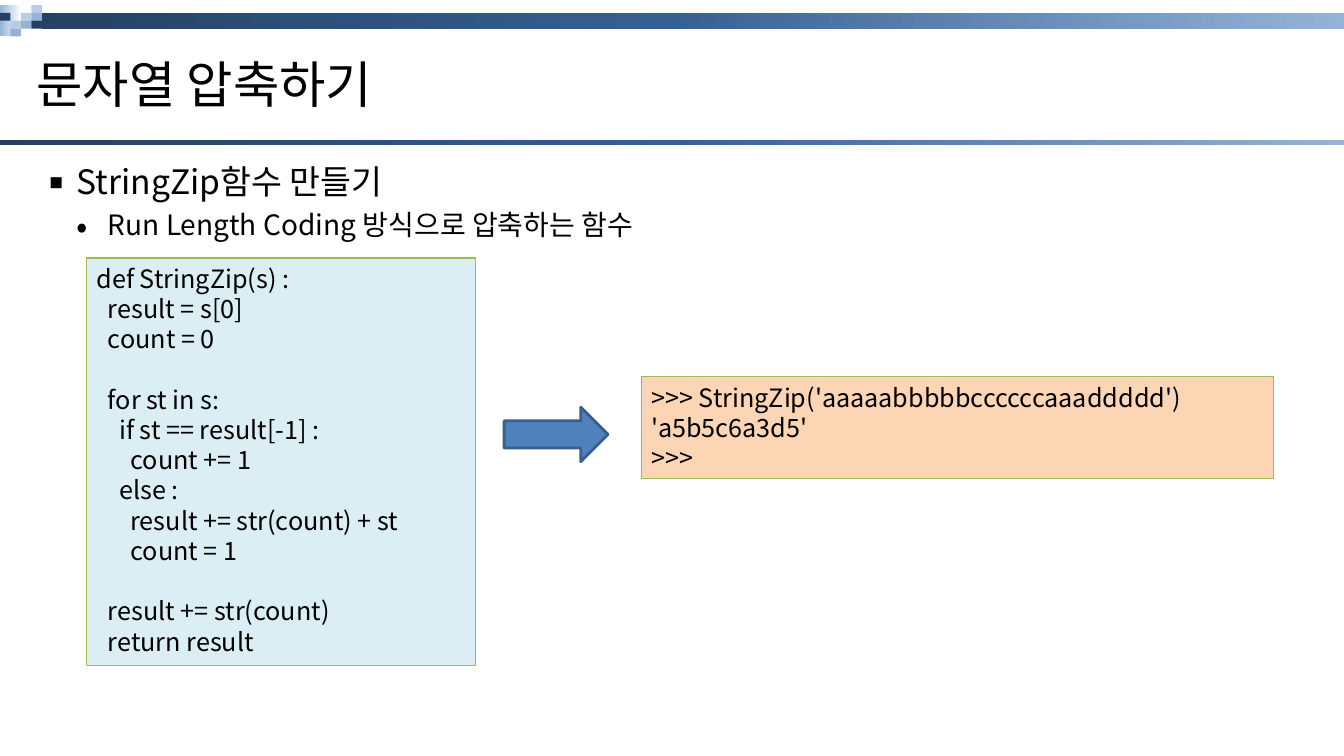
import copy
from dataclasses import dataclass

import lxml.etree
import pptx
import pptx.dml.color
import pptx.enum.shapes
import pptx.enum.text
import pptx.oxml.ns
import pptx.util

SHAPE = pptx.enum.shapes.MSO_SHAPE
ANCHOR = pptx.enum.text.MSO_ANCHOR
ALIGN = pptx.enum.text.PP_ALIGN
qn = pptx.oxml.ns.qn


@dataclass(frozen=True)
class Theme:
    """Colours, font and type sizes of the slide."""
    font: str = "Noto Sans CJK KR"
    ink: str = "000000"
    navy: str = "254061"
    blue: str = "376092"
    sky: str = "95B3D7"
    pale: str = "B9CDE5"
    white: str = "FFFFFF"
    code: str = "DBEEF4"
    shell: str = "FCD5B5"
    green: str = "9BBB59"
    arrow: str = "4F81BD"
    edge: str = "3A5F8C"
    title: int = 36
    head: int = 24
    sub: int = 20
    mono: int = 18


LOOK = Theme()
WIDE, HIGH = pptx.util.Inches(13.33), pptx.util.Inches(7.5)
TILES = {(0, 1): LOOK.navy, (1, 2): LOOK.pale, (1, 3): LOOK.sky,
         (2, 1): LOOK.pale, (2, 2): LOOK.sky, (3, 0): LOOK.pale,
         (3, 1): LOOK.sky, (3, 2): LOOK.navy}
CODE = """def StringZip(s) :
  result = s[0]
  count = 0

  for st in s:
    if st == result[-1] :
      count += 1
    else :
      result += str(count) + st
      count = 1

  result += str(count)
  return result"""
SHELL = """>>> StringZip('aaaaabbbbbccccccaaaddddd')
'a5b5c6a3d5'
>>>"""


def rgb(code):
    """Turn a hex code into a colour."""
    return pptx.dml.color.RGBColor.from_string(code)


def place(box):
    """Turn a box in percent of the slide into lengths."""
    return [round(part * side / 100) for part, side in zip(box, (WIDE, HIGH) * 2)]


def draw(slide, box, fill, line=None, width=0.75, kind=SHAPE.RECTANGLE):
    """Add a flat shape, with a gradient when fill is a list of colours."""
    shape = slide.shapes.add_shape(kind, *place(box))
    shape.shadow.inherit = False
    if isinstance(fill, str):
        shape.fill.solid()
        shape.fill.fore_color.rgb = rgb(fill)
    else:
        shape.fill.gradient()
        shape.fill.gradient_angle = 0
        stops = next(shape._element.iter(qn("a:gsLst")))
        stops.append(copy.deepcopy(stops[-1]))
        for num, (stop, tone) in enumerate(zip(shape.fill.gradient_stops, fill)):
            stop.position = num / 2
            stop.color.rgb = rgb(tone)
    if line:
        shape.line.color.rgb = rgb(line)
        shape.line.width = pptx.util.Pt(width)
    else:
        shape.line.fill.background()
    return shape


def style(par, size):
    """Set the font of a paragraph for Latin and Korean text."""
    par.alignment = ALIGN.LEFT
    par.font.size = pptx.util.Pt(size)
    par.font.color.rgb = rgb(LOOK.ink)
    par.font.name = LOOK.font
    base = par._p.pPr.find(qn("a:defRPr"))
    lxml.etree.SubElement(base, qn("a:ea"), typeface=LOOK.font)


def bullet(par, mark, left, hang):
    """Give a paragraph a hanging bullet."""
    props = par._p.get_or_add_pPr()
    props.set("marL", str(pptx.util.Inches(left)))
    props.set("indent", str(-pptx.util.Inches(hang)))
    if par.level:
        gap = lxml.etree.SubElement(props, qn("a:spcBef"))
        lxml.etree.SubElement(gap, qn("a:spcPct"), val="20000")
    lxml.etree.SubElement(props, qn("a:buSzPct"), val="120000")
    lxml.etree.SubElement(props, qn("a:buFont"), typeface=LOOK.font)
    lxml.etree.SubElement(props, qn("a:buChar"), char=mark)


def banner(slide, box):
    """Draw the top bar, its mosaic and the rule at the foot of the box."""
    left, top, width, height = box
    fade = [LOOK.navy, LOOK.blue, LOOK.sky]
    draw(slide, (left, top + 0.06 * height, width, 0.11 * height), fade)
    wide, high = 0.0078 * width, 0.056 * height
    draw(slide, (left, top, 4 * wide, 4 * high), [LOOK.sky, LOOK.white, LOOK.white])
    for (col, row), tone in TILES.items():
        draw(slide, (left + col * wide, top + row * high, wide, high), tone)
    draw(slide, (left, top + 0.965 * height, width, 0.035 * height), fade)


def fit(holder, box):
    """Move a placeholder to a box and return its text frame."""
    holder.left, holder.top, holder.width, holder.height = place(box)
    frame = holder.text_frame
    frame.auto_size = pptx.enum.text.MSO_AUTO_SIZE.NONE
    return frame


def title(slide, box, text):
    """Fill the title placeholder."""
    frame = fit(slide.shapes.title, box)
    frame.text = text
    frame.vertical_anchor = ANCHOR.MIDDLE
    style(frame.paragraphs[0], LOOK.title)


def body(slide, box, head, sub):
    """Fill the body placeholder with a heading and a sub-item."""
    frame = fit(slide.placeholders[1], box)
    frame.text = f"{head}\n{sub}"
    first, second = frame.paragraphs
    second.level = 1
    bullet(first, "▪", 0.38, 0.38)
    bullet(second, "•", 0.71, 0.31)
    first.space_before = 0
    style(first, LOOK.head)
    style(second, LOOK.sub)


def listing(slide, box, text, fill):
    """Draw a framed block of code."""
    frame = draw(slide, box, fill, LOOK.green).text_frame
    frame.word_wrap = True
    frame.vertical_anchor = ANCHOR.TOP
    frame.text = text
    for par in frame.paragraphs:
        style(par, LOOK.mono)


def main():
    """Build the slide and save it."""
    deck = pptx.Presentation()
    deck.slide_width, deck.slide_height = WIDE, HIGH
    slide = deck.slides.add_slide(deck.slide_layouts[1])
    banner(slide, (0, 0.67, 100, 18.53))
    title(slide, (1.95, 4.8, 96.1, 12.53), "문자열 압축하기")
    body(slide, (1.95, 20.67, 96.1, 75.6), "StringZip함수 만들기",
         "Run Length Coding 방식으로 압축하는 함수")
    listing(slide, (6.45, 34.13, 28.96, 53.87), CODE, LOOK.code)
    listing(slide, (47.71, 49.87, 47.04, 13.47), SHELL, LOOK.shell)
    draw(slide, (37.51, 53.87, 7.73, 7.2), LOOK.arrow, LOOK.edge, 2, SHAPE.RIGHT_ARROW)
    deck.save("out.pptx")


if __name__ == "__main__":
    main()
